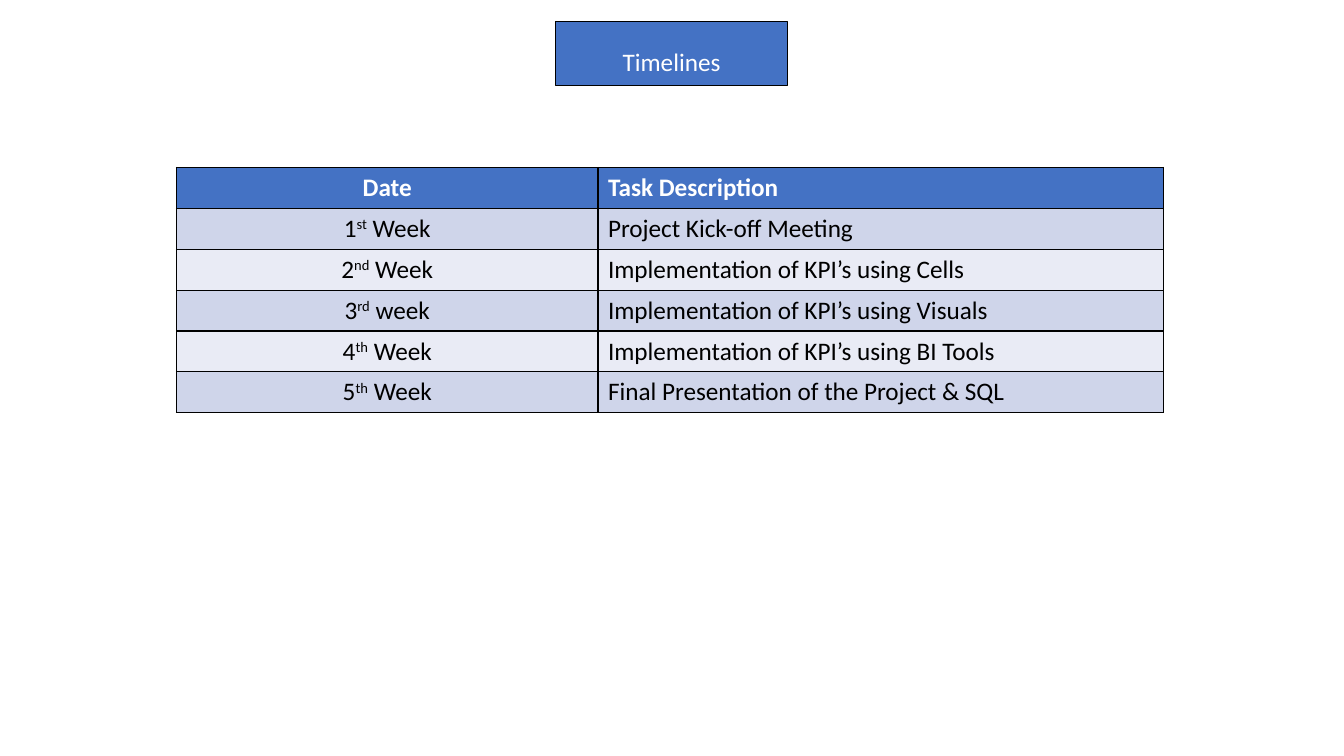
from dataclasses import dataclass

from lxml.etree import SubElement
from pptx import Presentation
from pptx.dml.color import RGBColor
from pptx.enum.shapes import MSO_SHAPE
from pptx.enum.text import MSO_ANCHOR, PP_ALIGN
from pptx.oxml.ns import qn
from pptx.util import Cm, Pt


@dataclass(frozen=True)
class Theme:
    font: str = "Calibri"
    size: int = 18
    line: float = 1
    blue: str = "4472C4"
    bands: tuple = ("CFD5EA", "E9EBF5")
    white: str = "FFFFFF"
    black: str = "000000"


TASKS = [
    ("1", "st", " Week", "Project Kick-off Meeting"),
    ("2", "nd", " Week", "Implementation of KPI’s using Cells"),
    ("3", "rd", " week", "Implementation of KPI’s using Visuals"),
    ("4", "th", " Week", "Implementation of KPI’s using BI Tools"),
    ("5", "th", " Week", "Final Presentation of the Project & SQL"),
]


class Painter:
    def __init__(self, slide, theme):
        self.slide = slide
        self.theme = theme

    def run(self, para, text, color, bold=False, raised=False):
        run = para.add_run()
        run.text = text
        font = run.font
        font.name = self.theme.font
        font.size = Pt(self.theme.size)
        font.bold = bold
        font.color.rgb = RGBColor.from_string(color)
        if raised:
            run._r.get_or_add_rPr().set("baseline", "30000")

    def paint(self, fill, color):
        fill.solid()
        fill.fore_color.rgb = RGBColor.from_string(color)

    def title(self, text, left, top, width, height):
        box = self.slide.shapes.add_shape(
            MSO_SHAPE.RECTANGLE, Cm(left), Cm(top), Cm(width), Cm(height))
        box.shadow.inherit = False
        self.paint(box.fill, self.theme.blue)
        self.paint(box.line.fill, self.theme.black)
        box.line.width = Pt(self.theme.line)
        frame = box.text_frame
        frame.vertical_anchor = MSO_ANCHOR.MIDDLE
        para = frame.paragraphs[0]
        para.alignment = PP_ALIGN.CENTER
        para.line_spacing = 1.5
        self.run(para, text, self.theme.white)

    def border(self, cell):
        """Draw all four sides; call before the fill, which must come last."""
        props = cell._tc.get_or_add_tcPr()
        for side in ("lnL", "lnR", "lnT", "lnB"):
            line = SubElement(props, qn(f"a:{side}"), w=str(Pt(self.theme.line)))
            fill = SubElement(line, qn("a:solidFill"))
            SubElement(fill, qn("a:srgbClr"), val=self.theme.black)

    def cell(self, cell, parts, fill, color, bold, align):
        """Fill a cell with text parts; the second part is raised."""
        self.border(cell)
        self.paint(cell.fill, fill)
        para = cell.text_frame.paragraphs[0]
        para.alignment = align
        for i, part in enumerate(parts):
            self.run(para, part, color, bold, raised=i == 1)

    def table(self, head, tasks, left, top, widths, height):
        rows = [[[text] for text in head]]
        rows += [[date, [task]] for *date, task in tasks]
        table = self.slide.shapes.add_table(
            len(rows), len(widths), Cm(left), Cm(top),
            Cm(sum(widths)), Cm(height * len(rows))).table
        for col, width in zip(table.columns, widths):
            col.width = Cm(width)
        for r, row in enumerate(rows):
            table.rows[r].height = Cm(height)
            first = r == 0
            fill = self.theme.blue if first else self.theme.bands[(r - 1) % 2]
            color = self.theme.white if first else self.theme.black
            for c, parts in enumerate(row):
                align = PP_ALIGN.LEFT if c else PP_ALIGN.CENTER
                self.cell(table.cell(r, c), parts, fill, color, first, align)


def main():
    deck = Presentation()
    deck.slide_width, deck.slide_height = Cm(33.87), Cm(19.05)
    slide = deck.slides.add_slide(deck.slide_layouts[6])
    painter = Painter(slide, Theme())
    painter.table(("Date", "Task Description"), TASKS,
                  left=4.45, top=4.22, widths=(10.62, 14.25), height=1.03)
    painter.title("Timelines", left=14, top=0.55, width=5.85, height=1.6)
    deck.save("out.pptx")


if __name__ == "__main__":
    main()
